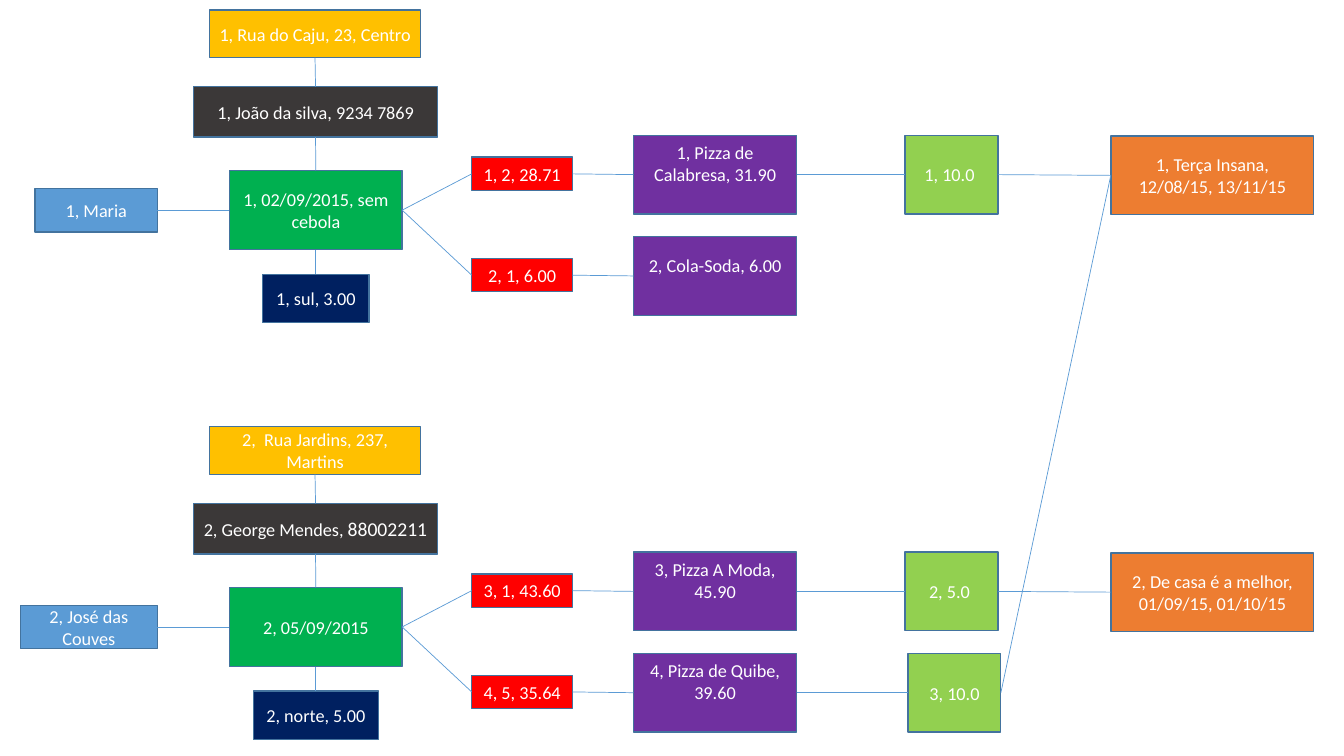
from dataclasses import dataclass
from typing import NamedTuple

from pptx import Presentation
from pptx.dml.color import RGBColor
from pptx.enum.shapes import MSO_CONNECTOR, MSO_SHAPE
from pptx.enum.text import MSO_ANCHOR, PP_ALIGN
from pptx.oxml.ns import qn
from pptx.util import Emu, Inches, Pt
from lxml.etree import SubElement


@dataclass(frozen=True)
class Theme:
    font: str = "Calibri"
    text_size: float = 13
    large_size: float = 14
    text: str = "FFFFFF"
    border: str = "43739E"
    link: str = "5B9BD5"
    border_width: float = 1
    link_width: float = 0.5


class Kind(NamedTuple):
    """Look of one entity; centre and size are percentages of the slide."""
    fill: str
    x: float
    y: float
    width: float
    height: float
    bottom_inset: float = 0.05


class Node(NamedTuple):
    kind: Kind
    text: str
    order: int = 0
    line: int = 0
    width: float = 0
    shift: float = 0
    large_text: str = ""


class Link(NamedTuple):
    start: str
    start_side: int
    end: str
    end_side: int


THEME = Theme()
TOP, LEFT, BOTTOM, RIGHT = range(4)
ORDER_PITCH, LINE_PITCH = 55.13, 13.4

# Entity kinds
ADDRESS = Kind("FFC000", 23.44, 4.47, 15.7, 6.3)
CONTACT = Kind("3B3838", 23.48, 14.8, 18.15, 6.67)
ORDER = Kind("00B050", 23.5, 27.8, 12.85, 10.5)
CUSTOMER = Kind("5B9BD5", 7.16, 27.8, 9.1, 5.75)
ZONE = Kind("002060", 23.5, 39.5, 7.9, 6.4)
ITEM = Kind("FF0000", 38.85, 23, 7.5, 4.4)
PRODUCT = Kind("7030A0", 53.2, 23.1, 12.15, 10.4, bottom_inset=0.27)
DISCOUNT = Kind("92D050", 70.8, 23.1, 6.9, 10.4)
PROMOTION = Kind("ED7D31", 90.2, 23.2, 15.1, 10.4)

NODES = {
    # First order
    "address 1": Node(ADDRESS, "1, Rua do Caju, 23, Centro"),
    "contact 1": Node(CONTACT, "1, João da silva, 9234 7869"),
    "order 1": Node(ORDER, "1, 02/09/2015, sem cebola"),
    "customer 1": Node(CUSTOMER, "1, Maria"),
    "zone 1": Node(ZONE, "1, sul, 3.00"),
    "item 1": Node(ITEM, "1, 2, 28.71"),
    "item 2": Node(ITEM, "2, 1, 6.00", line=1),
    "product 1": Node(PRODUCT, "1, Pizza de Calabresa, 31.90"),
    "product 2": Node(PRODUCT, "2, Cola-Soda, 6.00", line=1),
    "discount 1": Node(DISCOUNT, "1, 10.0 "),
    "promotion 1": Node(PROMOTION, "1, Terça Insana, 12/08/15, 13/11/15"),
    # Second order
    "address 2": Node(ADDRESS, "2,  Rua Jardins, 237, Martins", 1),
    "contact 2": Node(CONTACT, "2, George Mendes, ", 1, large_text="88002211"),
    "order 2": Node(ORDER, "2, 05/09/2015", 1),
    "customer 2": Node(CUSTOMER, "2, José das Couves", 1, width=10.2, shift=-0.55),
    "zone 2": Node(ZONE, "2, norte, 5.00", 1, width=9.3),
    "item 3": Node(ITEM, "3, 1, 43.60", 1),
    "item 4": Node(ITEM, "4, 5, 35.64", 1, line=1),
    "product 3": Node(PRODUCT, "3, Pizza A Moda, 45.90", 1),
    "product 4": Node(PRODUCT, "4, Pizza de Quibe, 39.60", 1, line=1),
    "discount 2": Node(DISCOUNT, "2, 5.0 ", 1),
    "discount 3": Node(DISCOUNT, "3, 10.0", 1, line=1, shift=0.22),
    "promotion 2": Node(PROMOTION, "2, De casa é a melhor, 01/09/15, 01/10/15", 1),
}


def order_links(order: int) -> list[Link]:
    """Links around one order and along its two item lines."""
    first = 2 * order - 1
    links = [
        Link(f"address {order}", BOTTOM, f"contact {order}", TOP),
        Link(f"contact {order}", BOTTOM, f"order {order}", TOP),
        Link(f"order {order}", BOTTOM, f"zone {order}", TOP),
        Link(f"customer {order}", RIGHT, f"order {order}", LEFT),
        Link(f"product {first}", RIGHT, f"discount {order}", LEFT),
        Link(f"discount {order}", RIGHT, f"promotion {order}", LEFT),
    ]
    for item in (first, first + 1):
        links.append(Link(f"order {order}", RIGHT, f"item {item}", LEFT))
        links.append(Link(f"item {item}", RIGHT, f"product {item}", LEFT))
    return links


LINKS = order_links(1) + order_links(2) + [
    Link("product 4", RIGHT, "discount 3", LEFT),
    Link("discount 3", RIGHT, "promotion 1", LEFT),
]

# Deck and page
deck = Presentation()
deck.slide_width, deck.slide_height = Inches(13.33), Inches(7.5)
page = deck.slides.add_slide(deck.slide_layouts[6])


def across(share: float) -> Emu:
    return Emu(round(deck.slide_width * share / 100))


def down(share: float) -> Emu:
    return Emu(round(deck.slide_height * share / 100))


def draw_node(node: Node):
    kind = node.kind
    width = node.width or kind.width
    left = kind.x + node.shift - width / 2
    middle = kind.y + node.order * ORDER_PITCH + node.line * LINE_PITCH
    box = page.shapes.add_shape(
        MSO_SHAPE.RECTANGLE, across(left), down(middle - kind.height / 2),
        across(width), down(kind.height))
    box.shadow.inherit = False
    box.fill.solid()
    box.fill.fore_color.rgb = RGBColor.from_string(kind.fill)
    box.line.color.rgb = RGBColor.from_string(THEME.border)
    box.line.width = Pt(THEME.border_width)

    frame = box.text_frame
    frame.word_wrap = True
    frame.vertical_anchor = MSO_ANCHOR.MIDDLE
    frame.margin_bottom = Inches(kind.bottom_inset)
    para = frame.paragraphs[0]
    para.alignment = PP_ALIGN.CENTER
    para.font.name = THEME.font
    para.font.size = Pt(THEME.text_size)
    para.font.color.rgb = RGBColor.from_string(THEME.text)
    para.add_run().text = node.text
    if node.large_text:
        span = para.add_run()
        span.text = node.large_text
        span.font.size = Pt(THEME.large_size)
    return box


def draw_link(link: Link) -> None:
    line = page.shapes.add_connector(MSO_CONNECTOR.STRAIGHT, 0, 0, 0, 0)
    line.begin_connect(boxes[link.start], link.start_side)
    line.end_connect(boxes[link.end], link.end_side)
    line.line.color.rgb = RGBColor.from_string(THEME.link)
    line.line.width = Pt(THEME.link_width)
    SubElement(line._element.spPr, qn("a:effectLst"))


# Entities, then the links between them
boxes = {name: draw_node(node) for name, node in NODES.items()}
for link in LINKS:
    draw_link(link)

deck.save("out.pptx")
